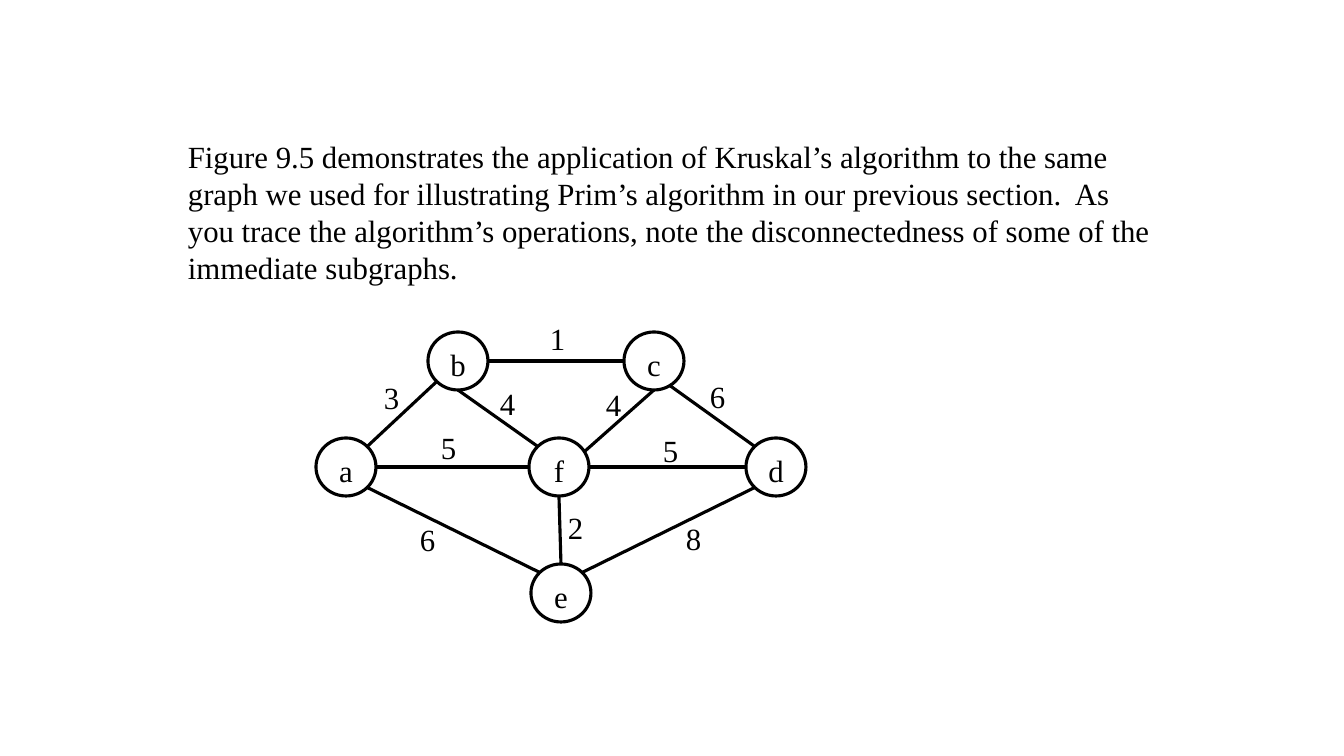
from math import cos, radians, sin

from lxml import etree
from pptx import Presentation
from pptx.dml.color import RGBColor
from pptx.enum.shapes import MSO_CONNECTOR, MSO_SHAPE
from pptx.enum.text import MSO_ANCHOR, PP_ALIGN
from pptx.oxml.ns import qn
from pptx.util import Emu, Pt

OVAL = MSO_SHAPE.OVAL
STRAIGHT = MSO_CONNECTOR.STRAIGHT
TOP = MSO_ANCHOR.TOP
LEFT, CENTER = PP_ALIGN.LEFT, PP_ALIGN.CENTER

PX = 914400 / 100.8
COLORS = {"ink": "000000", "paper": "FFFFFF"}
FONT, TEXT_SIZE, STROKE = "Times New Roman", Pt(22), Pt(2.25)
NODE_W, NODE_H = 60, 58
WEIGHT_W, WEIGHT_H = 36, 47

INTRO = (
    "Figure 9.5 demonstrates the application of Kruskal’s algorithm to the same "
    "graph we used for illustrating Prim’s algorithm in our previous section.  As "
    "you trace the algorithm’s operations, note the disconnectedness of some of "
    "the immediate subgraphs."
)

# Top left corner of each vertex within the graph
VERTICES = {
    "b": (112, 0), "c": (308, 0),
    "f": (213, 106), "a": (0, 106), "d": (430, 106),
    "e": (215, 232),
}

# Angles on a vertex outline, clockwise from the right
SIDES = {"right": 0, "lower right": 45, "bottom": 90, "lower left": 135,
         "left": 180, "upper left": 225, "top": 270, "upper right": 315,
         "right of f, raised": 328, "below c, right": 58}

# Start vertex and side, end vertex and side, weight, weight position
EDGES = [
    ("b", "right", "c", "left", "1", (224, -17)),
    ("a", "right", "f", "left", "5", (115, 92)),
    ("f", "right", "d", "left", "5", (337, 95)),
    ("a", "upper right", "b", "lower left", "3", (58, 42)),
    ("f", "right of f, raised", "c", "bottom", "4", (280, 49)),
    ("e", "upper right", "d", "lower left", "8", (360, 183)),
    ("a", "lower right", "e", "upper left", "6", (94, 184)),
    ("e", "top", "f", "bottom", "2", (242, 172)),
    ("f", "upper left", "b", "bottom", "4", (174, 48)),
    ("d", "upper left", "c", "below c, right", "6", (384, 41)),
]


def px(*lengths):
    return [Emu(round(length * PX)) for length in lengths]


def color(name):
    return RGBColor.from_string(COLORS[name])


def write(frame, text, align=LEFT, wrap=True):
    frame.word_wrap = wrap
    frame.vertical_anchor = TOP
    paragraph = frame.paragraphs[0]
    paragraph.alignment = align
    run = paragraph.add_run()
    run.text = text
    run.font.name = FONT
    run.font.size = TEXT_SIZE
    run.font.color.rgb = color("ink")


def draw_stroke(line):
    line.color.rgb = color("ink")
    line.width = STROKE


def add_intro(slide, left, top, width, height):
    intro = slide.shapes.add_textbox(*px(left, top, width, height))
    write(intro.text_frame, INTRO)


def outline_point(vertex, side):
    x, y = VERTICES[vertex]
    angle = radians(SIDES[side])
    return (x + NODE_W / 2 * (1 + cos(angle)),
            y + NODE_H / 2 * (1 + sin(angle)))


def add_graph(slide, left, top):
    # Vertices
    for name, (x, y) in VERTICES.items():
        vertex = slide.shapes.add_shape(
            OVAL, *px(left + x, top + y, NODE_W, NODE_H))
        vertex.shadow.inherit = False
        vertex.fill.solid()
        vertex.fill.fore_color.rgb = color("paper")
        draw_stroke(vertex.line)
        write(vertex.text_frame, name, CENTER)

    # Edges
    for start, start_side, end, end_side, _, _ in EDGES:
        x1, y1 = outline_point(start, start_side)
        x2, y2 = outline_point(end, end_side)
        edge = slide.shapes.add_connector(
            STRAIGHT, *px(left + x1, top + y1, left + x2, top + y2))
        draw_stroke(edge.line)
        etree.SubElement(edge._element.spPr, qn("a:effectLst"))

    # Edge weights
    for *_, weight, (x, y) in EDGES:
        label = slide.shapes.add_textbox(
            *px(left + x, top + y, WEIGHT_W, WEIGHT_H))
        write(label.text_frame, weight, wrap=False)


prs = Presentation()
prs.slide_width, prs.slide_height = px(1344, 756)
slide = prs.slides.add_slide(prs.slide_layouts[6])
slide.background.fill.solid()
slide.background.fill.fore_color.rgb = color("paper")
add_intro(slide, 178, 133, 989, 159)
add_graph(slide, 316, 332)
prs.save("out.pptx")
